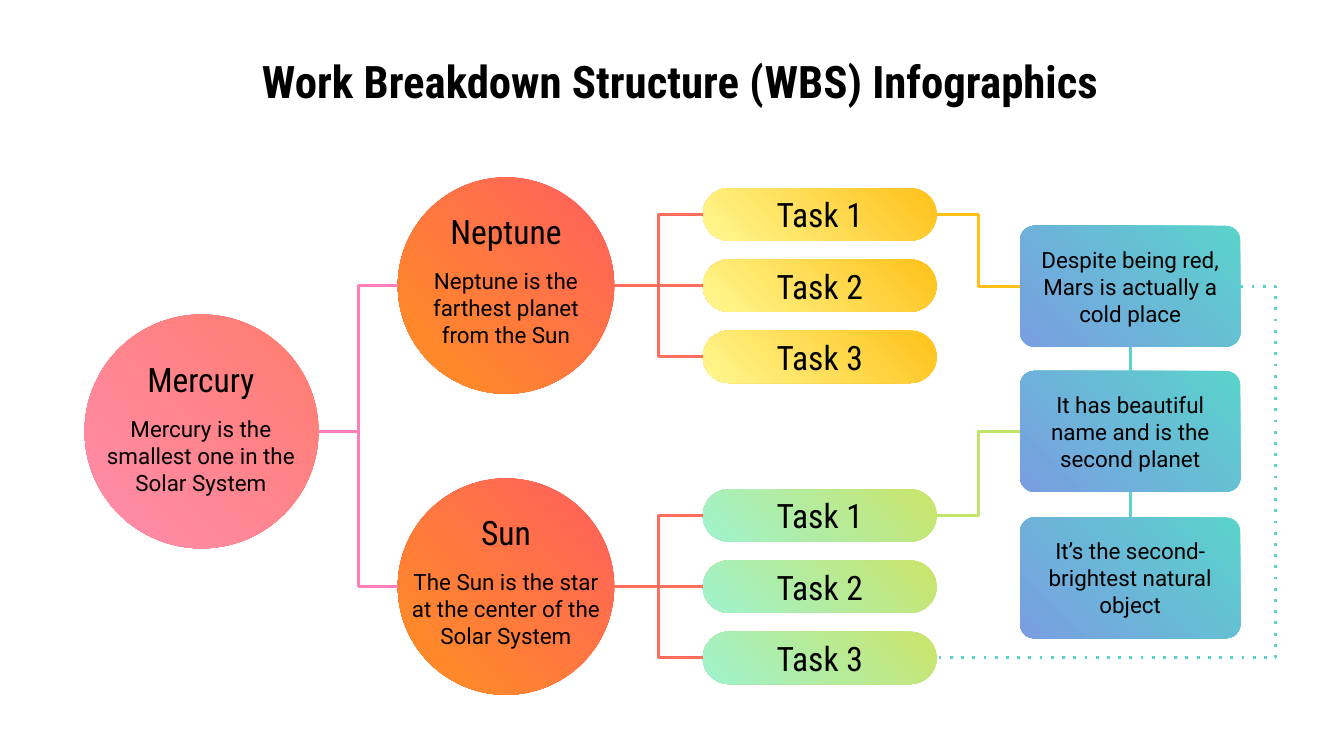
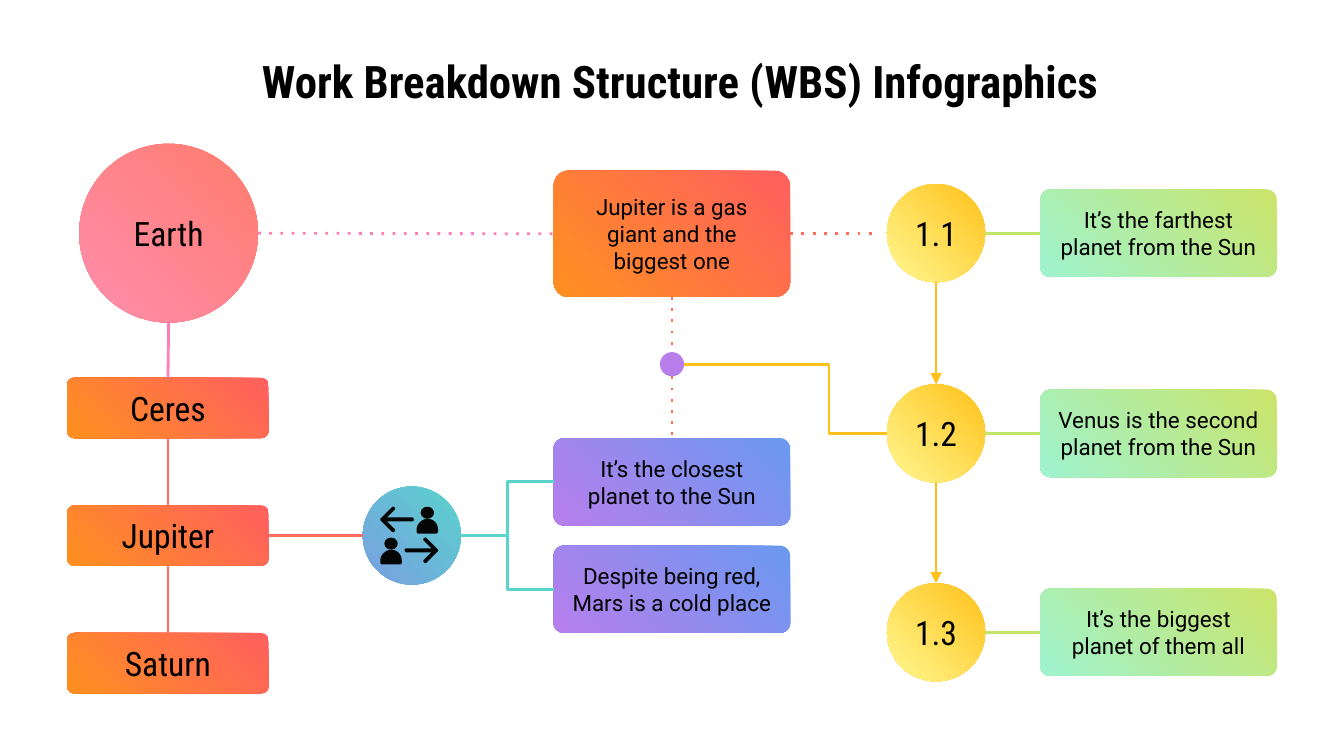
from lxml.etree import SubElement
from pptx import Presentation
from pptx.dml.color import RGBColor
from pptx.enum.shapes import MSO_CONNECTOR as CXN, MSO_SHAPE as SHAPE
from pptx.enum.text import MSO_ANCHOR as ANCHOR, PP_ALIGN as ALIGN
from pptx.oxml.ns import qn
from pptx.util import Emu, Pt

PX = 9144  # 100 px to the inch
TITLE = "Work Breakdown Structure (WBS) Infographics"
HEAD_FONT, BODY_FONT = "Roboto Condensed", "Roboto"
TOP, LEFT, BOTTOM, RIGHT = range(4)

COLORS = {
    "text": "000000", "icon": "040606", "dot": "B77EEC",
    "pink line": "FF80B9", "red line": "FF6D5D", "gold line": "FFC119",
    "lime line": "C2E469", "teal line": "5AD3CB",
}
# Top right colour, bottom left colour
GRADIENTS = {
    "pink": ("FF7C6D", "FF8DAD"), "orange": ("FF5F5F", "FF9020"),
    "gold": ("FFC119", "FFF892"), "lime": ("CBE469", "9FF3CF"),
    "teal": ("5AD3CB", "799EE2"), "violet": ("6A99F0", "B77EEC"),
}


def px(n):
    return Emu(round(n * PX))


def rgb(name):
    return RGBColor.from_string(COLORS[name])


# Text and shapes
def write(sp, text, size, font, bold=False):
    tf = sp.text_frame
    tf.word_wrap = True
    tf.margin_left = tf.margin_right = tf.margin_top = tf.margin_bottom = px(10)
    p = tf.paragraphs[0]
    p.text = text
    p.alignment = ALIGN.CENTER
    p.font.size, p.font.name, p.font.bold = Pt(size), font, bold
    p.font.color.rgb = rgb("text")


def textbox(s, box, text, size, font, bold=False):
    sp = s.shapes.add_textbox(*map(px, box))
    write(sp, text, size, font, bold)


def plain(sp, color):
    sp.shadow.inherit = False
    sp.line.fill.background()
    sp.fill.solid()
    sp.fill.fore_color.rgb = rgb(color)


def node(s, kind, box, gradient, text="", size=18, font=HEAD_FONT, corner=0.119):
    sp = s.shapes.add_shape(kind, *map(px, box))
    sp.shadow.inherit = False
    sp.line.fill.background()
    sp.fill.gradient()
    sp.fill.gradient_angle = 225
    for stop, color in zip(sp.fill.gradient_stops, GRADIENTS[gradient]):
        stop.color.rgb = RGBColor.from_string(color)
    if kind == SHAPE.ROUNDED_RECTANGLE:
        sp.adjustments[0] = corner
    if text:
        write(sp, text, size, font)
        sp.text_frame.vertical_anchor = ANCHOR.MIDDLE
    return sp


def circle(s, x, y, d, gradient, text=""):
    return node(s, SHAPE.OVAL, (x, y, d, d), gradient, text)


def label(s, box, gradient, text, corner=0.119):
    return node(s, SHAPE.ROUNDED_RECTANGLE, box, gradient, text, corner=corner)


def card(s, box, gradient, text):
    return node(s, SHAPE.ROUNDED_RECTANGLE, box, gradient, text, 12, BODY_FONT)


def caption(s, x, y, head, body):
    textbox(s, (x, y, 161, 43), head, 18, HEAD_FONT)
    textbox(s, (x, y + 42, 161, 72), body, 12, BODY_FONT)


# Connectors
def connect(s, start, end, color, elbow=None, dotted=False, arrow=False):
    kind = CXN.STRAIGHT if elbow is None else CXN.ELBOW
    c = s.shapes.add_connector(kind, *start, *end)
    c.line.width = Pt(1.5)
    c.line.color.rgb = rgb(color)
    sppr = c.element.spPr
    ln = sppr.find(qn("a:ln"))
    if elbow is not None:
        bend = sppr.find(qn("a:prstGeom")).find(qn("a:avLst"))
        SubElement(bend, qn("a:gd"), name="adj1", fmla=f"val {round(elbow * 100000)}")
    if dotted:
        SubElement(ln, qn("a:prstDash"), val="dot")
    if arrow:
        SubElement(ln, qn("a:tailEnd"), type="triangle")
    SubElement(sppr, qn("a:effectLst"))
    return c


def side_point(sp, side):
    x, y = sp.left + sp.width // 2, sp.top + sp.height // 2
    return {TOP: (x, sp.top), LEFT: (sp.left, y),
            BOTTOM: (x, sp.top + sp.height), RIGHT: (sp.left + sp.width, y)}[side]


def is_box(sp):
    return sp.auto_shape_type == SHAPE.ROUNDED_RECTANGLE


def link(s, a, b, color, sides=(RIGHT, LEFT), **style):
    c = connect(s, side_point(a, sides[0]), side_point(b, sides[1]), color, **style)
    if "elbow" not in style:
        if is_box(a):
            c.begin_connect(a, sides[0])
        if is_box(b):
            c.end_connect(b, sides[1])


# Icon of two people and two arrows
def outline(s, x, y, points):
    pts = [(px(x + u), px(y + v)) for u, v in points]
    fb = s.shapes.build_freeform(*pts[0])
    fb.add_line_segments(pts[1:], close=True)
    plain(fb.convert_to_shape(), "icon")


def curve(a, b, c, d, steps=8):
    for i in range(steps + 1):
        t = i / steps
        u = 1 - t
        yield tuple(u**3 * m + 3 * u * u * t * n + 3 * u * t * t * o + t**3 * q
                    for m, n, o, q in zip(a, b, c, d))


def person(s, x, y):
    plain(s.shapes.add_shape(SHAPE.OVAL, px(x + 3), px(y), px(10), px(9)), "icon")
    outline(s, x, y, [*curve((8, 9), (4, 9), (0, 13), (0, 17)), (0, 19), (1, 20),
                      (15, 20), (16, 19), *curve((16, 17), (16, 13), (13, 9), (8, 9))])


def icon_arrow(s, x, y, to_right=False):
    upper = [(0, 9), (1, 8), (9, 0), (10, 0), (11, 1), (11, 2), (5, 8), (24, 8), (25, 9)]
    points = upper + [(u, 19 - v) for u, v in reversed(upper)]
    outline(s, x, y, [(26 - u if to_right else u, v) for u, v in points])


# Slides
def new_slide(prs):
    s = prs.slides.add_slide(prs.slide_layouts[6])
    textbox(s, (40, 30, 932, 63), TITLE, 24, HEAD_FONT, True)
    return s


def tree_slide(prs):
    s = new_slide(prs)
    root = circle(s, 63, 234, 174, "pink")
    caption(s, 69, 257, "Mercury", "Mercury is the smallest one in the Solar System")

    # Branches with their tasks
    branches = [
        (132, "gold", "Neptune", "Neptune is the farthest planet from the Sun"),
        (356, "lime", "Sun", "The Sun is the star at the center of the Solar System"),
    ]
    tasks = []
    for y, gradient, head, body in branches:
        branch = circle(s, 296, y, 161, "orange")
        caption(s, 296, y + 15, head, body)
        link(s, root, branch, "pink line", elbow=0.5)
        for i in range(3):
            task = label(s, (523, y + 8 + 53 * i, 174, 39), gradient, f"Task {i + 1}", 0.5)
            bend = {} if i == 1 else {"elbow": 0.5}
            link(s, branch, task, "red line", **bend)
            tasks.append(task)

    # Notes
    notes = [card(s, (759, 168 + 217 * i // 2, 164, 90), "teal", text)
             for i, text in enumerate((
                 "Despite being red, Mars is actually a cold place",
                 "It has beautiful name and is the second planet",
                 "It’s the second-brightest natural object"))]
    for a, b in zip(notes, notes[1:]):
        link(s, a, b, "teal line", (BOTTOM, TOP))
    link(s, tasks[0], notes[0], "gold line", elbow=0.5)
    link(s, tasks[3], notes[1], "lime line", elbow=0.5)
    link(s, notes[0], tasks[5], "teal line", (RIGHT, RIGHT), elbow=-0.115, dotted=True)


def flow_slide(prs):
    s = new_slide(prs)
    down = (BOTTOM, TOP)

    # Left column
    earth = circle(s, 59, 107, 133, "pink", "Earth")
    planets = [label(s, (50, 281 + 95 * i, 150, 45), "orange", name)
               for i, name in enumerate(("Ceres", "Jupiter", "Saturn"))]
    link(s, earth, planets[0], "pink line", down)
    for a, b in zip(planets, planets[1:]):
        link(s, a, b, "red line", down)

    # Exchange icon and its cards
    hub = circle(s, 270, 362, 73, "teal")
    link(s, planets[1], hub, "red line")
    person(s, 310, 377)
    person(s, 283, 400)
    icon_arrow(s, 283, 377)
    icon_arrow(s, 300, 400, to_right=True)
    closest, cold = [card(s, (412, y, 176, 65), "violet", text) for y, text in (
        (326, "It’s the closest planet to the Sun"),
        (406, "Despite being red, Mars is a cold place"))]
    for sp in (closest, cold):
        link(s, hub, sp, "teal line", elbow=0.5)

    # Central card and junction
    giant = card(s, (412, 127, 176, 94), "orange",
                 "Jupiter is a gas giant and the biggest one")
    junction = s.shapes.add_shape(SHAPE.OVAL, px(491), px(262), px(18), px(18))
    plain(junction, "dot")
    link(s, earth, giant, "pink line", dotted=True)
    link(s, giant, junction, "red line", down, dotted=True)
    link(s, junction, closest, "red line", down, dotted=True)
    c = connect(s, side_point(giant, RIGHT), (px(649), px(174)), "red line", dotted=True)
    c.begin_connect(giant, RIGHT)

    # Numbered steps
    steps = []
    for y, number, text in (
            (137, "1.1", "It’s the farthest planet from the Sun"),
            (286, "1.2", "Venus is the second planet from the Sun"),
            (434, "1.3", "It’s the biggest planet of them all")):
        step = circle(s, 660, y, 73, "gold", number)
        link(s, step, card(s, (774, y + 4, 176, 65), "lime", text), "lime line")
        steps.append(step)
    for a, b in zip(steps, steps[1:]):
        link(s, a, b, "gold line", down, arrow=True)
    link(s, junction, steps[1], "gold line", elbow=0.714)


def main():
    prs = Presentation()
    prs.slide_width, prs.slide_height = px(1000), px(562.5)
    tree_slide(prs)
    flow_slide(prs)
    prs.save("out.pptx")


if __name__ == "__main__":
    main()
